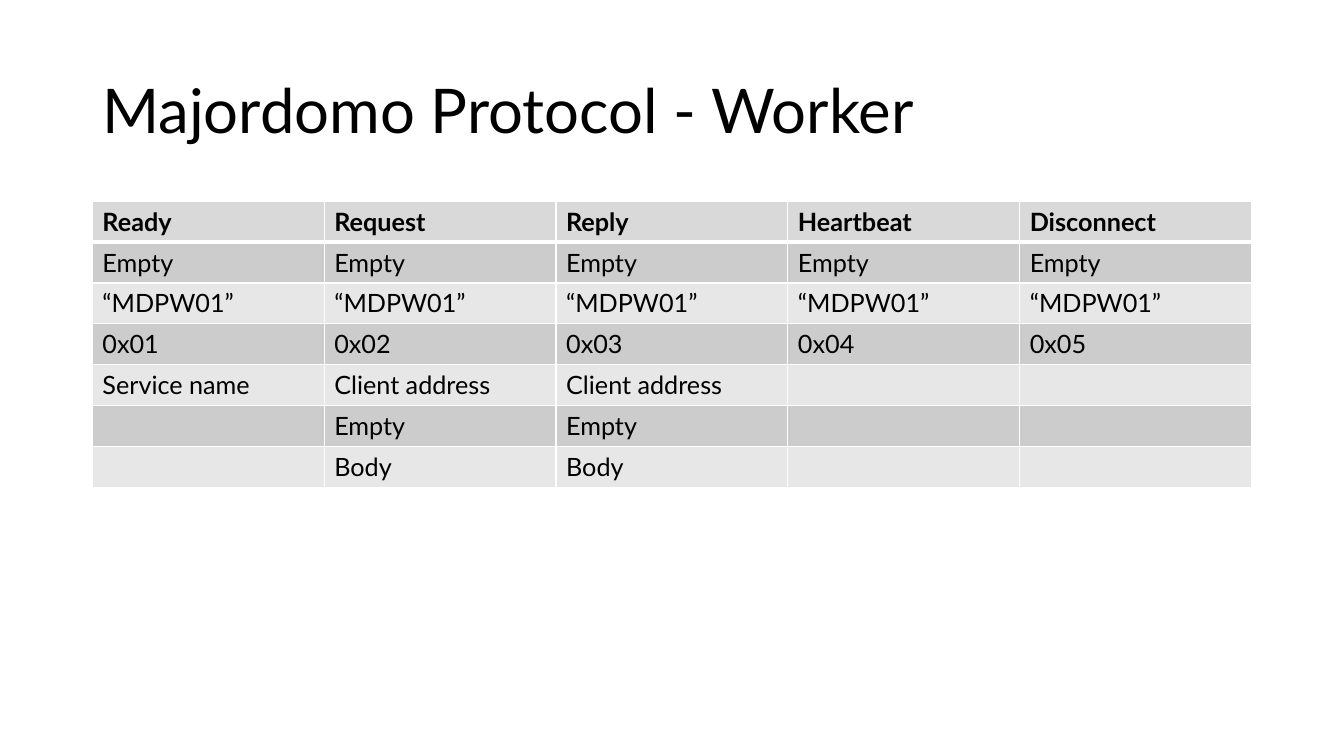
"""Build the Majordomo worker protocol slide with its table of message frames."""
from lxml import etree
from pptx import Presentation
from pptx.dml.color import RGBColor
from pptx.enum import text
from pptx.oxml import ns
from pptx.util import Pt

FONT = "Lato"
BLACK = RGBColor(0x00, 0x00, 0x00)
WHITE = RGBColor(0xFF, 0xFF, 0xFF)
HEADER_GRAY = RGBColor(0xD9, 0xD9, 0xD9)
BAND_GRAYS = RGBColor(0xE7, 0xE7, 0xE7), RGBColor(0xCC, 0xCC, 0xCC)

LEFT, WIDTH = 66, 828
ROW_HEIGHT = 29.2
FRAMES = [
    ["Ready", "Request", "Reply", "Heartbeat", "Disconnect"],
    ["Empty"] * 5,
    ["“MDPW01”"] * 5,
    ["0x01", "0x02", "0x03", "0x04", "0x05"],
    ["Service name", "Client address", "Client address", "", ""],
    ["", "Empty", "Empty", "", ""],
    ["", "Body", "Body", "", ""],
]


def style_font(font, size, bold=False):
    font.name = FONT
    font.size = Pt(size)
    font.bold = bold
    font.color.rgb = BLACK


def add_border(cell, side, width):
    properties = cell._tc.get_or_add_tcPr()
    line = etree.SubElement(properties, ns.qn(f"a:ln{side}"), w=str(Pt(width)))
    fill = etree.SubElement(line, ns.qn("a:solidFill"))
    etree.SubElement(fill, ns.qn("a:srgbClr"), val=str(WHITE))


deck = Presentation()
deck.slide_width, deck.slide_height = Pt(960), Pt(540)
page = deck.slides.add_slide(deck.slide_layouts[6])

title = page.shapes.add_textbox(Pt(LEFT), Pt(28.75), Pt(WIDTH), Pt(104.4))
frame = title.text_frame
frame.word_wrap = True
frame.vertical_anchor = text.MSO_ANCHOR.MIDDLE
frame.text = "Majordomo Protocol - Worker"
frame.paragraphs[0].line_spacing = 0.9
style_font(frame.paragraphs[0].runs[0].font, 44)

table = page.shapes.add_table(
    len(FRAMES), len(FRAMES[0]), Pt(LEFT), Pt(143.75), Pt(WIDTH), Pt(ROW_HEIGHT * len(FRAMES))
).table
for column in table.columns:
    column.width = Pt(WIDTH / len(FRAMES[0]))

for row_index, labels in enumerate(FRAMES):
    table.rows[row_index].height = Pt(ROW_HEIGHT)
    is_header = row_index == 0
    for column_index, label in enumerate(labels):
        cell = table.cell(row_index, column_index)
        for side in "LRTB":
            under_header = (row_index, side) in [(0, "B"), (1, "T")]
            add_border(cell, side, 3 if under_header else 1)
        cell.fill.solid()
        cell.fill.fore_color.rgb = HEADER_GRAY if is_header else BAND_GRAYS[row_index % 2]
        paragraph = cell.text_frame.paragraphs[0]
        if label:
            paragraph.text = label
            style_font(paragraph.runs[0].font, 18, is_header)

deck.save("out.pptx")
